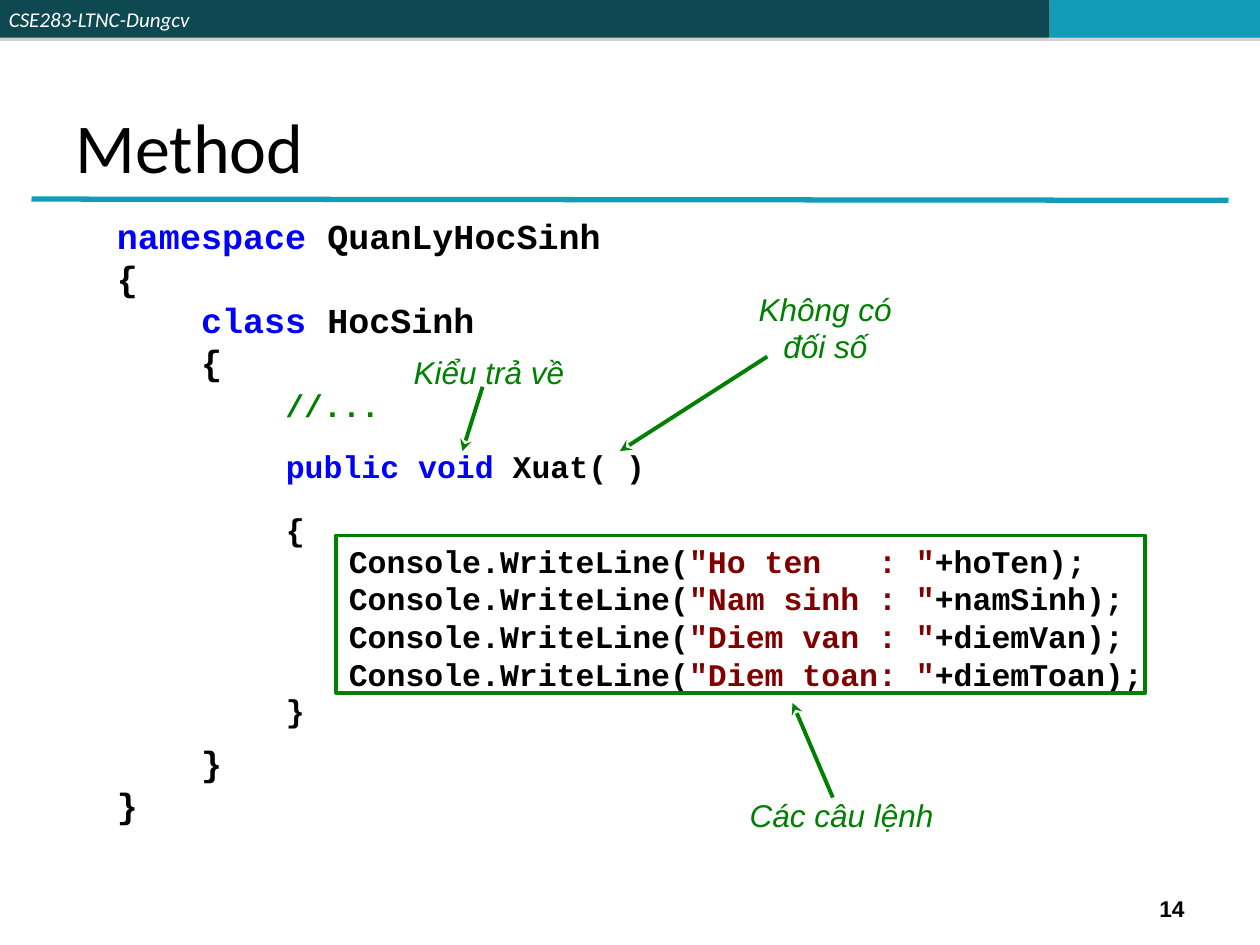
"""Build the slide that explains the parts of a C# method."""
from dataclasses import dataclass
from typing import Optional

from lxml import etree
from pptx import Presentation
from pptx.dml.color import RGBColor
from pptx.enum.shapes import MSO_CONNECTOR, MSO_SHAPE
from pptx.enum.text import MSO_ANCHOR, PP_ALIGN
from pptx.oxml import parse_xml
from pptx.oxml.ns import qn
from pptx.util import Inches, Pt

RECT, STRAIGHT = MSO_SHAPE.RECTANGLE, MSO_CONNECTOR.STRAIGHT
TOP, MIDDLE, BOTTOM = MSO_ANCHOR.TOP, MSO_ANCHOR.MIDDLE, MSO_ANCHOR.BOTTOM
LEFT, CENTER, RIGHT = PP_ALIGN.LEFT, PP_ALIGN.CENTER, PP_ALIGN.RIGHT


@dataclass(frozen=True)
class Theme:
    dark: str = "0E4851"
    teal: str = "139CB7"
    white: str = "FFFFFF"
    black: str = "000000"
    keyword: str = "0000FF"
    green: str = "008000"
    string: str = "800000"
    heading: str = "Calibri"
    label: str = "Arial"
    code: str = "Courier New"
    title_size: int = 40
    outer_size: int = 20
    inner_size: int = 18
    number_size: int = 13
    header_size: int = 12
    rule: float = 3
    stroke: float = 2.25


T = Theme()
MONO_LINE = 1.133


@dataclass(frozen=True)
class Run:
    text: str
    color: str = T.black
    size: Optional[int] = None


@dataclass(frozen=True)
class Band:
    left: float
    width: float
    color: str


@dataclass(frozen=True)
class Callout:
    text: str
    box: tuple[float, float, float, float]
    start: tuple[float, float]
    end: tuple[float, float]


BANDS = [Band(0, 4.08, T.dark), Band(4.08, 4.25, T.dark), Band(8.33, 1.67, T.teal)]

OUTER_CODE = [
    [Run("namespace", T.keyword), Run(" QuanLyHocSinh")],
    [Run("{")],
    [Run("    "), Run("class", T.keyword), Run(" HocSinh")],
    [Run("    {")],
    [Run("        "), Run("//...", T.green, T.inner_size)],
    [Run("    }")],
    [Run("}")],
]
SIGNATURE = [[Run("public void ", T.keyword), Run("Xuat( )")]]
BRACES = [[Run("{")], [Run("}")]]
FIELDS = [("Ho ten   ", "hoTen"), ("Nam sinh ", "namSinh"),
          ("Diem van ", "diemVan"), ("Diem toan", "diemToan")]
STATEMENTS = [[Run("Console.WriteLine("), Run(f'"{name}: "', T.string), Run(f"+{var});")]
              for name, var in FIELDS]

CALLOUTS = [
    Callout("Các câu lệnh", (5.3, 6.27, 2.76, 0.4), (6.61, 6.33), (6.29, 5.58)),
    Callout("Kiểu trả về", (3.17, 2.75, 1.42, 0.4), (3.83, 3.07), (3.67, 3.58)),
    Callout("Không có đối số", (5.76, 2.25, 1.58, 0.7), (6.09, 2.83), (4.92, 3.58)),
]


def write(sp, lines: list[list[Run]], *, font: str, size: int, bold: bool = False,
          italic: bool = False, align=LEFT, anchor=TOP, inset: tuple = (0.1, 0.05),
          gaps: Optional[dict[int, float]] = None) -> None:
    """Fill a shape with lines of runs; gaps maps a line index to its space before."""
    tf = sp.text_frame
    tf.word_wrap = True
    tf.vertical_anchor = anchor
    tf.margin_left = tf.margin_right = Inches(inset[0])
    tf.margin_top = tf.margin_bottom = Inches(inset[1])
    for i, line in enumerate(lines):
        p = tf.add_paragraph() if i else tf.paragraphs[0]
        p.alignment = align
        p.space_before = Pt((gaps or {}).get(i, 0))
        for run in line:
            r = p.add_run()
            r.text = run.text
            r.font.name, r.font.size = font, Pt(run.size or size)
            r.font.bold, r.font.italic = bold, italic
            r.font.color.rgb = RGBColor.from_string(run.color)


def add_text(s, box: tuple, lines: list[list[Run]], **fmt) -> None:
    """Add a text box at left, top, width, height."""
    write(s.shapes.add_textbox(*map(Inches, box)), lines, **fmt)


def add_code(s, box: tuple, lines: list[list[Run]], size: int = T.inner_size,
             gaps: Optional[dict[int, float]] = None) -> None:
    """Add a block of bold code."""
    add_text(s, box, lines, font=T.code, size=size, bold=True, gaps=gaps)


def add_rect(s, box: tuple, fill: Optional[str] = None, line: Optional[str] = None):
    """Add a plain rectangle with an optional fill and outline."""
    sp = s.shapes.add_shape(RECT, *map(Inches, box))
    sp.shadow.inherit = False
    if fill:
        sp.fill.solid()
        sp.fill.fore_color.rgb = RGBColor.from_string(fill)
    else:
        sp.fill.background()
    if line:
        sp.line.color.rgb = RGBColor.from_string(line)
        sp.line.width = Pt(T.stroke)
    else:
        sp.line.fill.background()
    return sp


def add_band(s, band: Band):
    """Add one header band with a hard shadow below it."""
    sp = add_rect(s, (band.left, 0, band.width, 0.3), fill=band.color)
    sp._element.spPr.find(qn("a:effectLst")).append(parse_xml(
        '<a:outerShdw xmlns:a="http://schemas.openxmlformats.org/drawingml/2006/main" '
        f'blurRad="0" dist="{Pt(1.8)}" dir="5400000" rotWithShape="0">'
        '<a:srgbClr val="808080"><a:alpha val="35000"/></a:srgbClr></a:outerShdw>'))
    return sp


def add_line(s, start: tuple, end: tuple, color: str, width: float,
             arrow: bool = False) -> None:
    """Add a straight line, with an arrowhead at its end if asked."""
    cx = s.shapes.add_connector(STRAIGHT, *map(Inches, start + end))
    cx.line.color.rgb = RGBColor.from_string(color)
    cx.line.width = Pt(width)
    if arrow:
        etree.SubElement(cx.line._get_or_add_ln(), qn("a:tailEnd"), type="stealth")
    etree.SubElement(cx._element.spPr, qn("a:effectLst"))


def add_callout(s, callout: Callout) -> None:
    """Add an italic label and the arrow that leads from it."""
    add_line(s, callout.start, callout.end, T.green, T.stroke, arrow=True)
    add_text(s, callout.box, [[Run(callout.text, T.green)]], font=T.label,
             size=T.inner_size, italic=True, align=CENTER)


def main() -> None:
    """Build and save the slide."""
    prs = Presentation()
    prs.slide_width, prs.slide_height = Inches(10), Inches(7.5)
    s = prs.slides.add_slide(prs.slide_layouts[5])

    header = [add_band(s, band) for band in BANDS][0]
    write(header, [[Run("CSE283-LTNC-Dungcv", T.white)]], font=T.heading,
          size=T.header_size, italic=True, anchor=MIDDLE, inset=(0.07, 0.04))
    add_line(s, (0.25, 1.58), (9.75, 1.59), T.teal, T.rule)

    title = s.shapes.title
    title.left, title.top, title.width, title.height = map(Inches, (0.5, 0.11, 8.99, 1.43))
    write(title, [[Run("Method")]], font=T.heading, size=T.title_size, anchor=BOTTOM)
    add_text(s, (7.17, 7.06, 2.33, 0.3), [[Run("14")]], font=T.label,
             size=T.number_size, bold=True, align=RIGHT, anchor=MIDDLE)

    add_code(s, (0.83, 1.65, 5.92, 5.1), OUTER_CODE, T.outer_size,
             gaps={5: 8 * T.outer_size * MONO_LINE})
    add_code(s, (2.17, 3.5, 6.08, 0.4), SIGNATURE)
    add_code(s, (2.17, 4, 5, 1.9), BRACES, gaps={1: 4 * T.inner_size * MONO_LINE})
    add_code(s, (2.67, 4.25, 6.58, 1.3), STATEMENTS)
    add_rect(s, (2.67, 4.25, 6.42, 1.25), line=T.green)
    for callout in CALLOUTS:
        add_callout(s, callout)

    prs.save("out.pptx")


if __name__ == "__main__":
    main()
